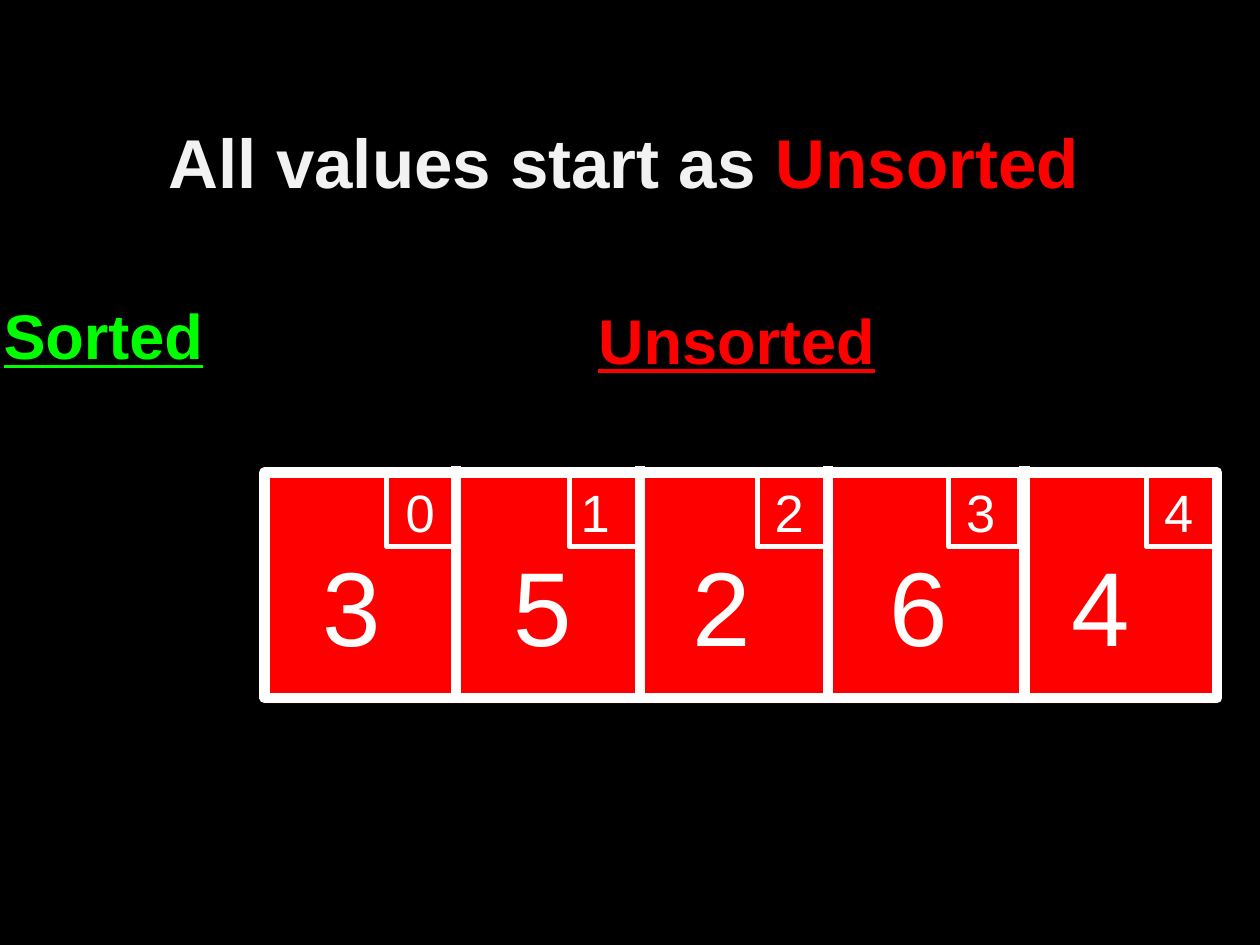
from dataclasses import dataclass

from lxml import etree
from pptx import Presentation
from pptx.dml.color import RGBColor
from pptx.enum import shapes, text
from pptx.oxml import ns
from pptx.util import Inches, Pt


@dataclass(frozen=True)
class Theme:
    font: str = "Arial"
    back: str = "000000"
    white: str = "FFFFFF"
    pale: str = "F2F2F2"
    red: str = "FF0000"
    green: str = "00FF00"
    head: float = 39.5
    label: float = 36
    value: float = 60
    index: float = 30
    thick: float = 6
    thin: float = 3


THEME = Theme()
ARRAY = (2.1, 3.75, 7.56, 1.79)
SPLITS = (3.62, 5.08, 6.57, 8.13)
# value, value left, index left, index box left
CELLS = (
    ("3", 2.46, 3.12, 3.07),
    ("5", 3.98, 4.51, 4.52),
    ("2", 5.4, 6.05, 6.01),
    ("6", 6.96, 7.57, 7.53),
    ("4", 8.41, 9.14, 9.1),
)


def color(code):
    return RGBColor.from_string(code)


def place(box):
    return [Inches(n) for n in box]


def add_run(para, words, size, code, bold=False, line=False):
    run = para.add_run()
    run.text = words
    font = run.font
    font.name, font.size = THEME.font, Pt(size)
    font.bold, font.underline = bold, line
    font.color.rgb = color(code)


def set_frame(frame, side, edge, anchor):
    """Fix the wrapping, insets and anchor of a text frame."""
    frame.word_wrap = True
    frame.auto_size = text.MSO_AUTO_SIZE.NONE
    frame.margin_left = frame.margin_right = Inches(side)
    frame.margin_top = frame.margin_bottom = Inches(edge)
    frame.vertical_anchor = anchor


def add_title(slide, box, parts):
    title = slide.shapes.title
    title.left, title.top, title.width, title.height = place(box)
    set_frame(title.text_frame, 0.1, 0, text.MSO_ANCHOR.TOP)
    para = title.text_frame.paragraphs[0]
    para.alignment = text.PP_ALIGN.LEFT
    for words, code in parts:
        add_run(para, words, THEME.head, code, bold=True)


def add_label(slide, box, words, code):
    frame = slide.shapes.add_textbox(*place(box)).text_frame
    set_frame(frame, 0, 0.05, text.MSO_ANCHOR.MIDDLE)
    para = frame.paragraphs[0]
    para.alignment = text.PP_ALIGN.CENTER
    add_run(para, words, THEME.label, code, bold=True, line=True)


def add_digit(slide, box, digit, size):
    frame = slide.shapes.add_textbox(*place(box)).text_frame
    set_frame(frame, 0.1, 0.1, text.MSO_ANCHOR.TOP)
    add_run(frame.paragraphs[0], digit, size, THEME.white)


def add_box(slide, box, fill=None, width=None):
    """Add a rectangle with a fill, a white outline, or both."""
    rect = slide.shapes.add_shape(shapes.MSO_SHAPE.RECTANGLE, *place(box))
    rect.shadow.inherit = False
    if fill:
        rect.fill.solid()
        rect.fill.fore_color.rgb = color(fill)
    else:
        rect.fill.background()
    if width:
        rect.line.color.rgb = color(THEME.white)
        rect.line.width = Pt(width)
    else:
        rect.line.fill.background()


def add_split(slide, x, top, end):
    line = slide.shapes.add_connector(
        shapes.MSO_CONNECTOR.STRAIGHT, *place((x, top, x, end)))
    line.line.color.rgb = color(THEME.white)
    line.line.width = Pt(THEME.thick)
    etree.SubElement(line._element.spPr, ns.qn("a:effectLst"))


def add_array(slide):
    left, top, width, height = ARRAY
    add_box(slide, (left, top + 0.04, width, height), fill=THEME.red)
    add_box(slide, ARRAY, width=THEME.thick)
    for x in SPLITS:
        add_split(slide, x, 3.7, 5.52)
    for index, (value, x, mark, corner) in enumerate(CELLS):
        add_box(slide, (corner, 3.74, 0.56, 0.6), width=THEME.thin)
        add_digit(slide, (mark, 3.71, 0.48, 0.65), str(index), THEME.index)
        add_digit(slide, (x, 4.2, 0.9, 1.13), value, THEME.value)


def main():
    deck = Presentation()
    deck.slide_width, deck.slide_height = Inches(10), Inches(7.5)
    slide = deck.slides.add_slide(deck.slide_layouts.get_by_name("Title Only"))
    slide.background.fill.solid()
    slide.background.fill.fore_color.rgb = color(THEME.back)
    add_array(slide)
    add_label(slide, (3.43, 1.65, 4.83, 2.08), "Unsorted", THEME.red)
    add_label(slide, (0, 1.7, 1.64, 1.91), "Sorted", THEME.green)
    add_title(slide, (1.24, 0.95, 7.78, 1.21),
              (("All values start as ", THEME.pale), ("Unsorted", THEME.red)))
    deck.save("out.pptx")


if __name__ == "__main__":
    main()
